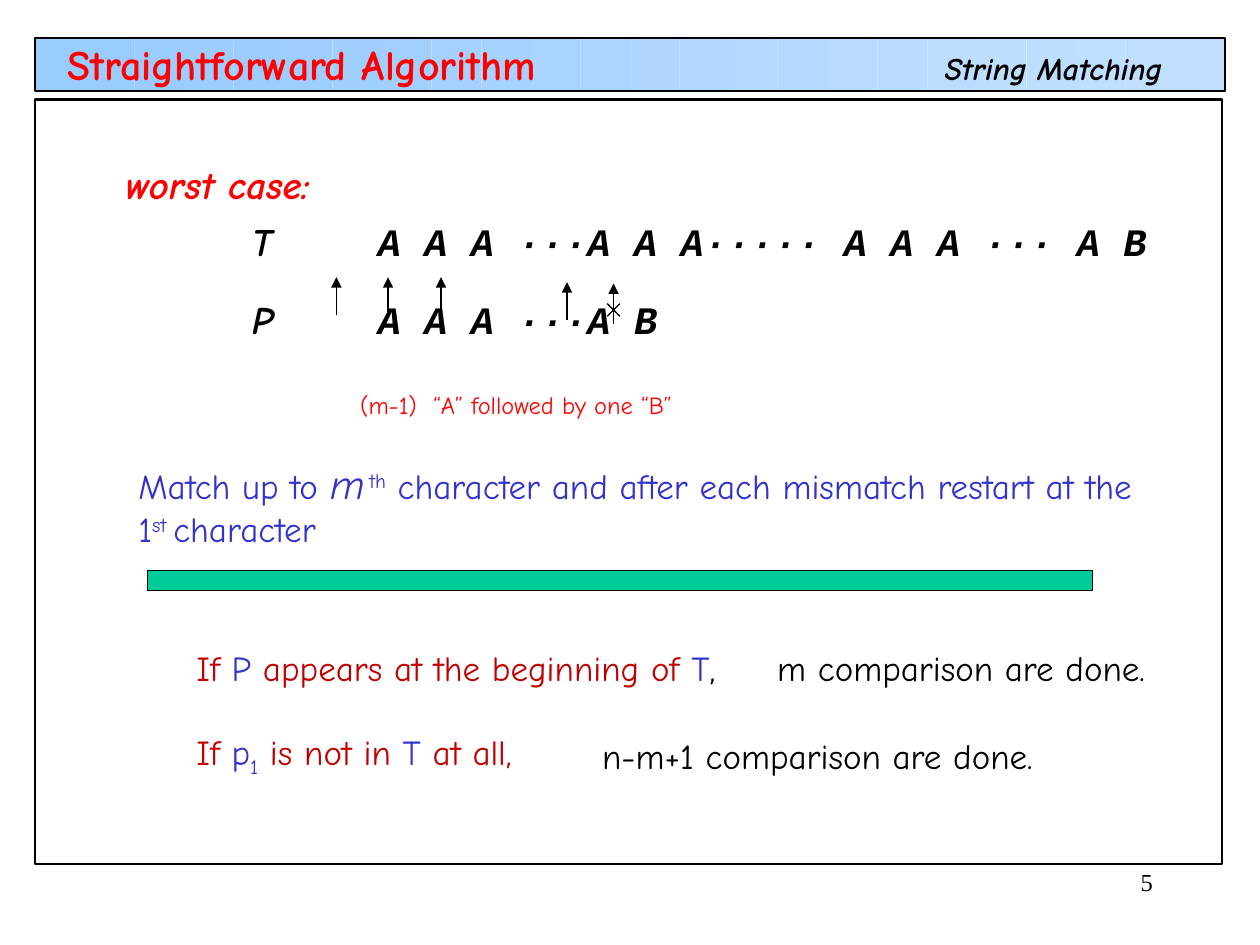
"""Build the worst-case slide of the straightforward string matching algorithm."""
import math
from dataclasses import dataclass
from typing import Optional

import pptx
import pptx.dml.color
import pptx.enum.shapes
import pptx.enum.text
import pptx.oxml
import pptx.oxml.ns
import pptx.util

Inches = pptx.util.Inches
BLACK, RED, DARK_RED, BLUE = "000000", "FF0000", "C00000", "3333CC"
COMIC, COURIER, TIMES = "Comic Neue", "Courier New", "Times New Roman"


@dataclass
class Run:
    text: str
    color: Optional[str] = None
    size: Optional[float] = None
    font: Optional[str] = None
    bold: Optional[bool] = None
    italic: Optional[bool] = None
    baseline: int = 0


@dataclass
class Paragraph:
    runs: list[Run]
    before: float = 0
    spacing: float = 1.0


@dataclass
class Stroke:
    x1: float
    y1: float
    x2: float
    y2: float
    arrow: bool = True


def rgb(value: str) -> pptx.dml.color.RGBColor:
    return pptx.dml.color.RGBColor.from_string(value)


def append_xml(parent, tag: str, **attributes: str):
    child = pptx.oxml.parse_xml(f"<a:{tag} {pptx.oxml.ns.nsdecls('a')}/>")
    for name, value in attributes.items():
        child.set(name, value)
    parent.append(child)
    return child


def draw_rectangle(slide, left: float, top: float, width: float, height: float,
                   fill: Optional[str] = None, line: Optional[float] = None) -> None:
    rectangle = slide.shapes.add_shape(
        pptx.enum.shapes.MSO_SHAPE.RECTANGLE,
        Inches(left), Inches(top), Inches(width), Inches(height))
    rectangle.shadow.inherit = False
    if fill:
        rectangle.fill.solid()
        rectangle.fill.fore_color.rgb = rgb(fill)
    else:
        rectangle.fill.background()
    if line:
        rectangle.line.color.rgb = rgb(BLACK)
        rectangle.line.width = pptx.util.Pt(line)
    else:
        rectangle.line.fill.background()


def draw_stroke(slide, stroke: Stroke) -> None:
    connector = slide.shapes.add_connector(
        pptx.enum.shapes.MSO_CONNECTOR.STRAIGHT,
        Inches(stroke.x1), Inches(stroke.y1), Inches(stroke.x2), Inches(stroke.y2))
    connector.line.color.rgb = rgb(BLACK)
    connector.line.width = pptx.util.Pt(0.75)
    if stroke.arrow:
        append_xml(connector.line._get_or_add_ln(), "tailEnd", type="triangle")
    append_xml(connector._element.spPr, "effectLst")


def write(slide, left: float, top: float, width: float, height: float,
          content: str | list[Paragraph], *, size: float = 20, color: str = BLACK,
          font: str = COMIC, bold: bool = False, italic: bool = False,
          wrap: bool = True, grow: bool = False, middle: bool = False,
          right: bool = False, hanging: float = 0) -> None:
    box = slide.shapes.add_textbox(Inches(left), Inches(top), Inches(width), Inches(height))
    frame = box.text_frame
    frame.word_wrap = wrap
    sizes = pptx.enum.text.MSO_AUTO_SIZE
    frame.auto_size = sizes.SHAPE_TO_FIT_TEXT if grow else sizes.NONE
    if middle:
        frame.vertical_anchor = pptx.enum.text.MSO_ANCHOR.MIDDLE
    paragraphs = [Paragraph([Run(content)])] if isinstance(content, str) else content
    for index, part in enumerate(paragraphs):
        paragraph = frame.add_paragraph() if index else frame.paragraphs[0]
        paragraph.space_before = pptx.util.Pt(part.before)
        paragraph.line_spacing = part.spacing
        if right:
            paragraph.alignment = pptx.enum.text.PP_ALIGN.RIGHT
        if hanging:
            properties = paragraph._p.get_or_add_pPr()
            properties.set("marL", str(Inches(hanging)))
            properties.set("indent", str(-Inches(hanging)))
            properties.set("defTabSz", str(Inches(1)))
            stops = append_xml(properties, "tabLst")
            for inch in range(8):
                append_xml(stops, "tab", pos=str(Inches(inch)), algn="l")
        for piece in part.runs:
            run = paragraph.add_run()
            run.text = piece.text
            run.font.size = pptx.util.Pt(piece.size or size)
            run.font.name = piece.font or font
            run.font.bold = bold if piece.bold is None else piece.bold
            run.font.italic = italic if piece.italic is None else piece.italic
            run.font.color.rgb = rgb(piece.color or color)
            if piece.baseline:
                run._r.get_or_add_rPr().set("baseline", str(piece.baseline * 1000))


def draw_header(slide) -> None:
    strips, pitch = 24, 9.44 / 24
    start, end = (0x99, 0xCC, 0xFF), (0xC0, 0xDF, 0xFF)
    for index in range(strips):
        ease = (1 - math.cos(math.pi * index / (strips - 1))) / 2
        shade = "".join(f"{round(a + (b - a) * ease):02X}" for a, b in zip(start, end))
        draw_rectangle(slide, 0.28 + index * pitch, 0.3, pitch, 0.42, fill=shade)
    draw_rectangle(slide, 0.28, 0.3, 9.44, 0.42, line=1.25)
    write(slide, 7.4, 0.34, 2, 0.4, "String Matching", size=18, bold=True, italic=True)
    write(slide, 0.44, 0.38, 5.17, 0.25, "Straightforward Algorithm", size=24, color=RED,
          bold=True, middle=True)


def draw_worst_case(slide) -> None:
    worst_case = [
        Paragraph([Run("\t"), Run("worst case:", RED, bold=True)], before=6, spacing=1.4),
        Paragraph([Run("\t \t"), Run("T \t", bold=True),
                   Run("A A A ···A A A····· A A A ··· A B", font=COURIER, bold=True)],
                  before=6),
        Paragraph([Run("\t\t"), Run("P\t", bold=True),
                   Run("A A A ···A B", font=COURIER, bold=True)], before=17.5),
    ]
    write(slide, 0.52, 1.08, 9.07, 1.92, worst_case, size=22.2, italic=True, hanging=0.38)
    matches = [Stroke(x, top + 0.3, x, top)
               for x, top in ((2.67, 2.2), (3.08, 2.2), (3.5, 2.2), (4.5, 2.24))]
    mismatch = [Stroke(4.87, 2.57, 4.87, 2.25),
                Stroke(4.92, 2.41, 4.82, 2.51, arrow=False),
                Stroke(4.92, 2.51, 4.82, 2.41, arrow=False)]
    for stroke in matches + mismatch:
        draw_stroke(slide, stroke)
    write(slide, 2.76, 3.05, 2.69, 0.34, "(m-1)  “A” followed by one “B”", size=14,
          color=RED, wrap=False, grow=True)
    restart = Paragraph([
        Run("Match up to "), Run("m", size=24, italic=True), Run(" ", size=8, italic=True),
        Run("th", baseline=30), Run(" character and after each mismatch restart at the 1"),
        Run("st ", baseline=30), Run("character")], before=5)
    write(slide, 1, 3.58, 8.17, 0.84, [restart], color=BLUE, grow=True)


def draw_other_cases(slide) -> None:
    cases = [
        Paragraph([Run("If "), Run("P", BLUE), Run(" appears at the beginning of "),
                   Run("T", BLUE), Run(",", BLACK)]),
        Paragraph([Run("If "), Run("p", BLUE), Run("1", BLUE, baseline=-25),
                   Run(" is not in "), Run("T", BLUE), Run(" at all,")], before=24),
    ]
    write(slide, 1.46, 5.08, 4.41, 1.15, cases, color=DARK_RED, wrap=False, grow=True)
    write(slide, 6.07, 5.08, 3.12, 0.44, "m comparison are done.", wrap=False, grow=True)
    write(slide, 4.68, 5.78, 3.62, 0.44, "n-m+1 comparison are done.", wrap=False, grow=True)


def main() -> None:
    presentation = pptx.Presentation()
    presentation.slide_width, presentation.slide_height = Inches(10), Inches(7.5)
    slide = presentation.slides.add_slide(presentation.slide_layouts[6])
    draw_header(slide)
    draw_rectangle(slide, 0.28, 0.79, 9.42, 6.07, line=1.25)
    write(slide, 7.92, 6.83, 1.33, 0.5, "5", size=14, font=TIMES, right=True)
    draw_worst_case(slide)
    draw_other_cases(slide)
    draw_rectangle(slide, 1.17, 4.53, 7.5, 0.16, fill="00CC99", line=0.75)
    presentation.save("out.pptx")


if __name__ == "__main__":
    main()
